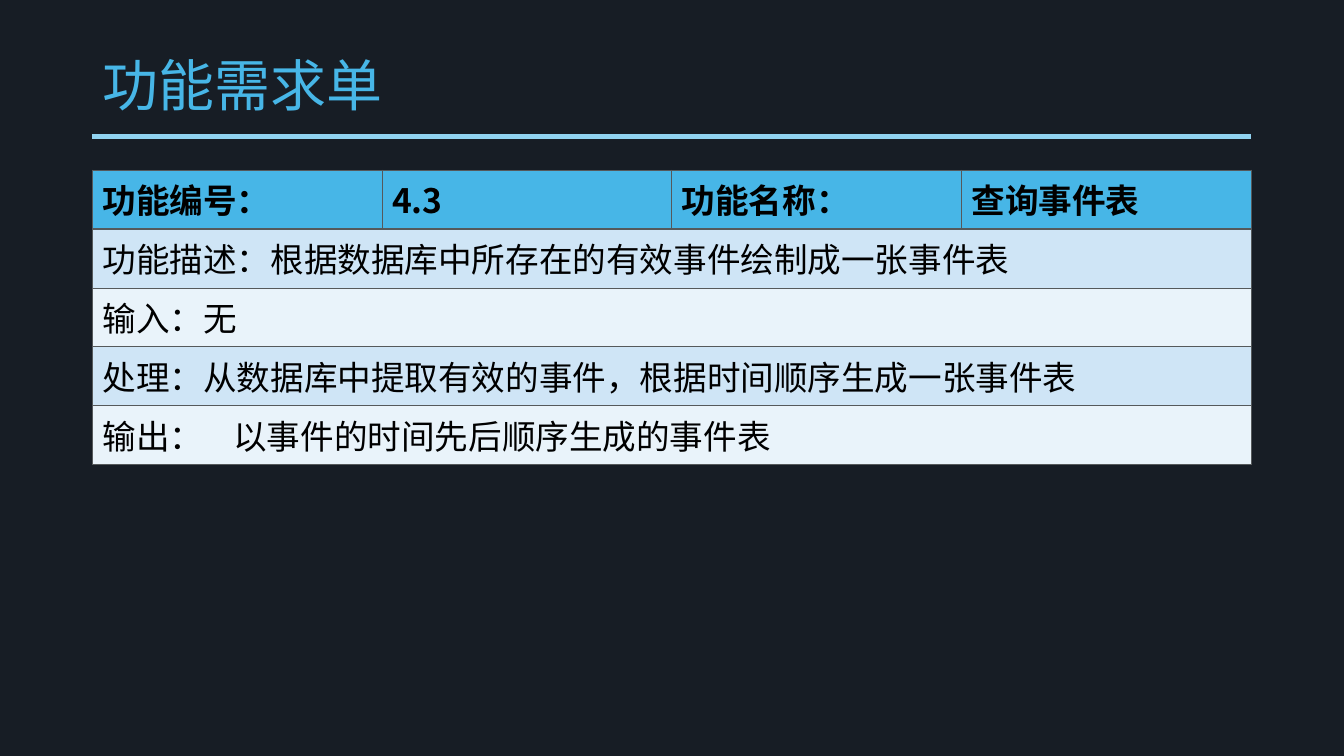
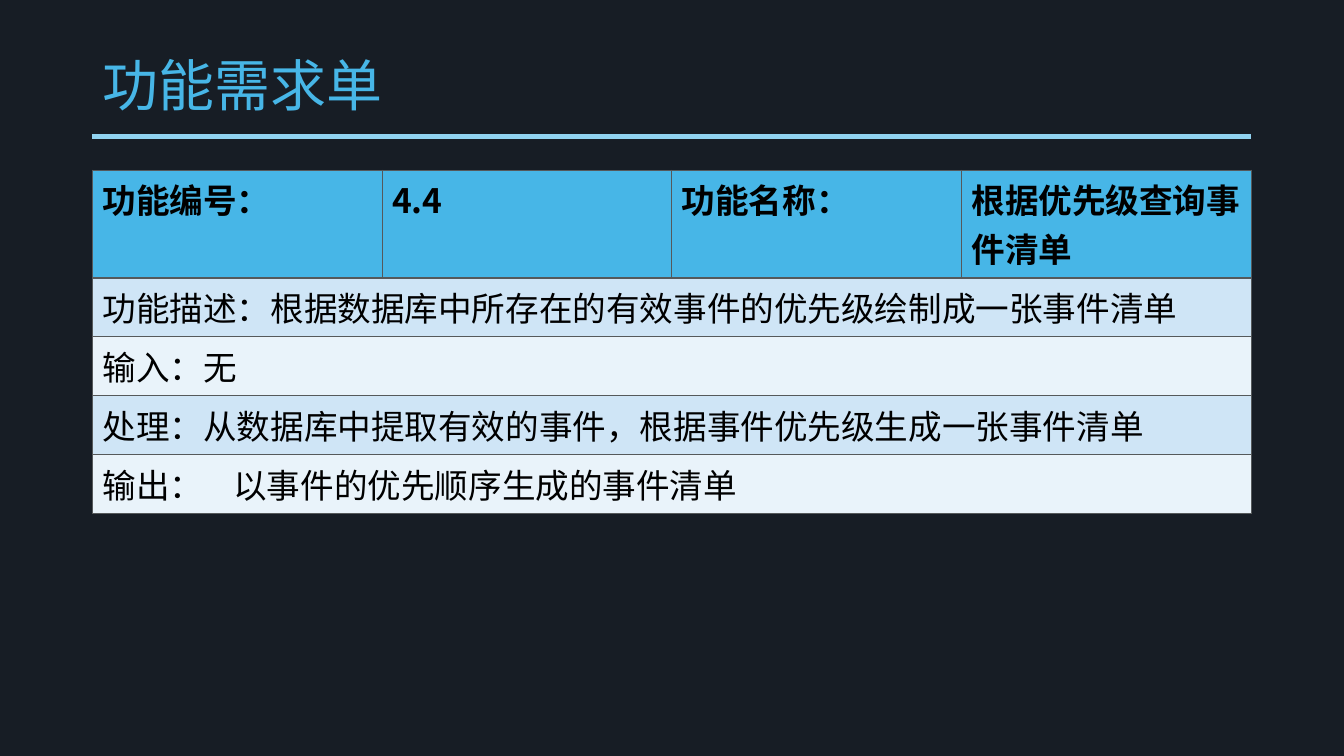
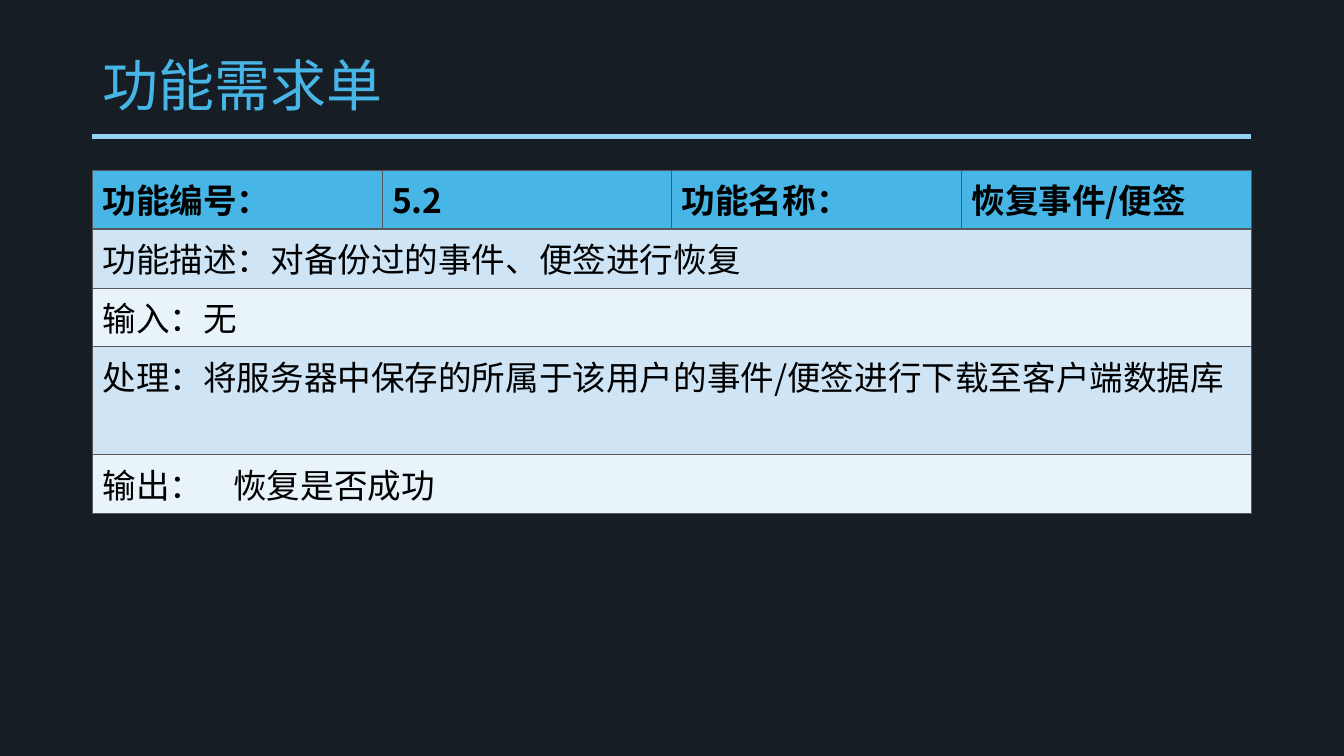
from lxml import etree
from pptx import Presentation
from pptx.dml.color import RGBColor
from pptx.enum import shapes, text
from pptx.oxml import ns
from pptx.util import Pt

# Content: number, name, then the body rows of each requirement sheet
TITLE = "功能需求单"
SHEETS = [
    ("4.3", "查询事件表", [
        "功能描述：根据数据库中所存在的有效事件绘制成一张事件表",
        "输入：无",
        "处理：从数据库中提取有效的事件，根据时间顺序生成一张事件表",
        "输出：\t以事件的时间先后顺序生成的事件表"]),
    ("4.4", "根据优先级查询事件清单", [
        "功能描述：根据数据库中所存在的有效事件的优先级绘制成一张事件清单",
        "输入：无",
        "处理：从数据库中提取有效的事件，根据事件优先级生成一张事件清单",
        "输出：\t以事件的优先顺序生成的事件清单"]),
    ("5.2", "恢复事件/便签", [
        "功能描述：对备份过的事件、便签进行恢复",
        "输入：无",
        "处理：将服务器中保存的所属于该用户的事件/便签进行下载至客户端数据库",
        "输出：\t恢复是否成功"]),
]

# Shared style
COLORS = {"back": "171D25", "title": "47B6E7", "rule": "91D3F1", "header": "47B6E7",
          "odd": "CFE5F6", "even": "E9F3FA", "border": "55595B", "ink": "000000"}
TITLE_FONT, CJK_FONT = "Arial", "Noto Sans CJK SC"
LEFT, WIDTH = 66.1, 828
RULE_Y, TABLE_Y = 97.7, 121.4
CELL_SIZE, LINE_HEIGHT = 24, 34.9
SIDE_MARGINS, END_MARGINS = 14.4, 7.2
THIN, THICK = 0.45, 1.47
OUTPUT_TAB = 93.5


def color(name):
    return RGBColor.from_string(COLORS[name])


def add_run(paragraph, words, font, size, ink, bold=False):
    run = paragraph.add_run()
    run.text = words
    run.font.name, run.font.size, run.font.bold = font, Pt(size), bold
    run.font.color.rgb = color(ink)
    east_asian = etree.SubElement(run.font._element, ns.qn("a:ea"))
    east_asian.set("typeface", CJK_FONT)


def set_borders(cell, top, bottom):
    properties = cell._tc.get_or_add_tcPr()
    for side, width in (("L", THIN), ("R", THIN), ("T", top), ("B", bottom)):
        line = etree.SubElement(properties, ns.qn("a:ln" + side), w=str(int(Pt(width))))
        fill = etree.SubElement(line, ns.qn("a:solidFill"))
        etree.SubElement(fill, ns.qn("a:srgbClr"), val=COLORS["border"])


def add_title(slide):
    rule = slide.shapes.add_connector(
        shapes.MSO_CONNECTOR.STRAIGHT, Pt(LEFT), Pt(RULE_Y), Pt(LEFT + WIDTH), Pt(RULE_Y))
    rule.line.color.rgb, rule.line.width = color("rule"), Pt(3.5)
    etree.SubElement(rule._element.spPr, ns.qn("a:effectLst"))

    frame = slide.shapes.add_textbox(Pt(LEFT), Pt(28.8), Pt(WIDTH), Pt(68.4)).text_frame
    frame.word_wrap = True
    frame.vertical_anchor = text.MSO_ANCHOR.MIDDLE
    heading = frame.paragraphs[0]
    heading.line_spacing = 0.9
    add_run(heading, TITLE, TITLE_FONT, 40, "title")


def fill_cell(cell, words, bold):
    paragraph = cell.text_frame.paragraphs[0]
    if "\t" in words:
        tabs = etree.SubElement(paragraph._p.get_or_add_pPr(), ns.qn("a:tabLst"))
        etree.SubElement(tabs, ns.qn("a:tab"), pos=str(int(Pt(OUTPUT_TAB))), algn="l")
    add_run(paragraph, words, CJK_FONT, CELL_SIZE, "ink", bold)


def row_height(row):
    """Height of a row whose cells share the table width equally."""
    chars_per_line = int((WIDTH / len(row) - SIDE_MARGINS) // CELL_SIZE)
    lines = max(-(-len(words) // chars_per_line) for words in row)
    return lines * LINE_HEIGHT + END_MARGINS


def add_sheet(slide, number, name, body):
    rows = [["功能编号：", number, "功能名称：", name]] + [[line] for line in body]
    columns = len(rows[0])
    heights = [row_height(row) for row in rows]
    table = slide.shapes.add_table(len(rows), columns, Pt(LEFT), Pt(TABLE_Y),
                                   Pt(WIDTH), Pt(sum(heights))).table
    for r, row in enumerate(rows):
        table.rows[r].height = Pt(heights[r])
        band = "header" if r == 0 else "odd" if r % 2 else "even"
        for cell in table.rows[r].cells:
            set_borders(cell, THICK if r == 1 else THIN, THICK if r == 0 else THIN)
            cell.fill.solid()
            cell.fill.fore_color.rgb = color(band)
        if len(row) == 1:
            table.cell(r, 0).merge(table.cell(r, columns - 1))
        for c, words in enumerate(row):
            fill_cell(table.cell(r, c), words, bold=r == 0)


def main():
    deck = Presentation()
    deck.slide_width, deck.slide_height = Pt(960.48), Pt(540)
    backdrop = deck.slide_master.background.fill
    backdrop.solid()
    backdrop.fore_color.rgb = color("back")
    for number, name, body in SHEETS:
        slide = deck.slides.add_slide(deck.slide_layouts[6])
        add_title(slide)
        add_sheet(slide, number, name, body)
    deck.save("out.pptx")


if __name__ == "__main__":
    main()
